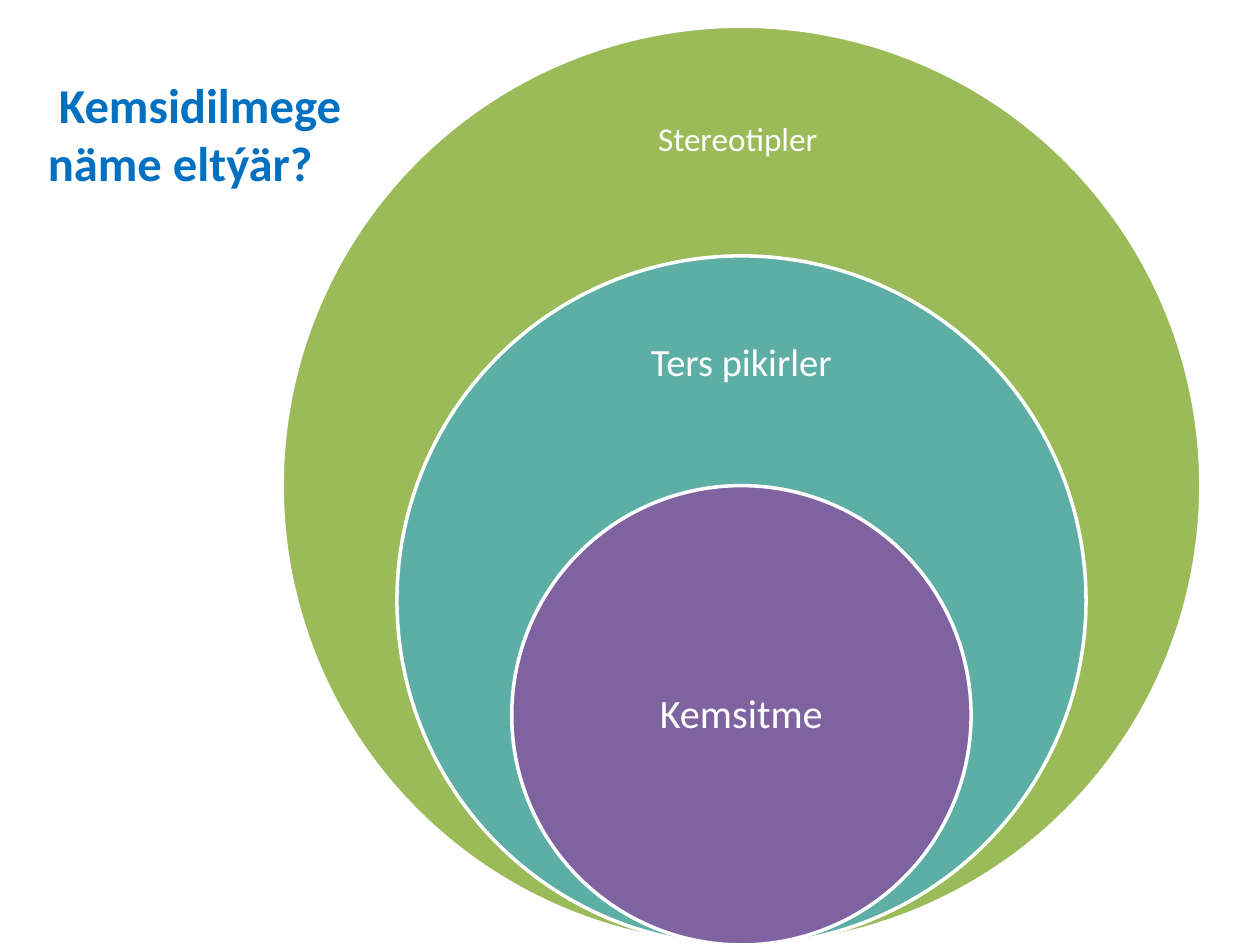
from pptx import Presentation
from pptx.util import Pt
from pptx.dml.color import RGBColor
from pptx.enum.shapes import MSO_SHAPE as Shape
from pptx.enum.text import MSO_ANCHOR as Anchor, PP_ALIGN as Align

FONT = "Calibri"
HUES = {"title": "0070C0", "white": "FFFFFF", "green": "9BBB59",
        "teal": "5DAEA5", "purple": "7F63A1"}

# label, fill, scale, label top and height as shares of the circle, size, inset
RINGS = [
    ("Stereotipler ", "green", 1, 0.05, 0.15, 19, 10.8),
    ("Ters pikirler", "teal", 0.75, 0.0625, 0.19, 22, 12.2),
    ("Kemsitme", "purple", 0.5, 0.25, 0.5, 23, 13),
]


def hue(name):
    return RGBColor.from_string(HUES[name])


def add_text(slide, box, text, size, color, anchor, inset, bold=False):
    """Add a wrapped text box and return its paragraph."""
    frame = slide.shapes.add_textbox(*map(Pt, box)).text_frame
    frame.word_wrap = True
    frame.vertical_anchor = anchor
    frame.margin_left = frame.margin_right = Pt(inset[0])
    frame.margin_top = frame.margin_bottom = Pt(inset[1])
    para = frame.paragraphs[0]
    run = para.add_run()
    run.text = text
    run.font.name = FONT
    run.font.size = Pt(size)
    run.font.bold = bold
    run.font.color.rgb = hue(color)
    return para


def add_title(slide, box):
    add_text(slide, box, " Kemsidilmege näme eltýär?", 27.8, "title",
             Anchor.BOTTOM, (7.2, 3.6), bold=True)


def add_rings(slide, left, top, side):
    """Nest circles that share their lowest point, each with a label."""
    mid, base = left + side / 2, top + side
    wide = side * 0.35
    for text, fill, scale, drop, share, size, inset in RINGS:
        span = side * scale
        peak = base - span
        ring = slide.shapes.add_shape(
            Shape.OVAL, Pt(mid - span / 2), Pt(peak), Pt(span), Pt(span))
        ring.shadow.inherit = False
        ring.fill.solid()
        ring.fill.fore_color.rgb = hue(fill)
        ring.line.color.rgb = hue("white")
        ring.line.width = Pt(2)
        box = (mid - wide / 2, peak + span * drop, wide, span * share)
        para = add_text(slide, box, text, size, "white",
                        Anchor.MIDDLE, (inset, inset))
        para.alignment = Align.CENTER
        para.line_spacing = 0.9


def main():
    deck = Presentation()
    deck.slide_width, deck.slide_height = Pt(720), Pt(540)
    slide = deck.slides.add_slide(deck.slide_layouts[6])
    add_title(slide, (20.2, 21.6, 253, 91.4))
    add_rings(slide, 161.2, 15, 525)
    deck.save("out.pptx")


if __name__ == "__main__":
    main()
